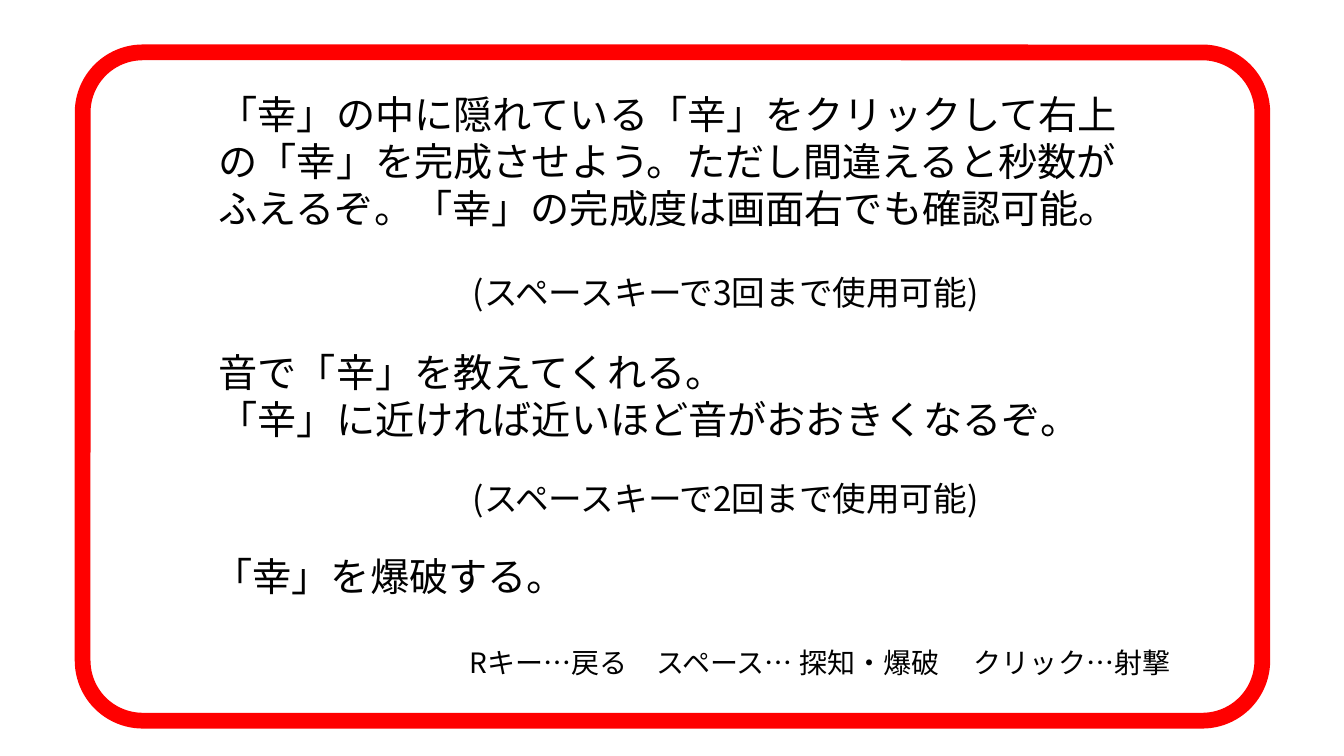
from lxml.etree import SubElement
from pptx import Presentation
from pptx.dml.color import RGBColor
from pptx.enum.shapes import MSO_SHAPE
from pptx.enum.text import MSO_AUTO_SIZE, PP_ALIGN
from pptx.oxml.ns import qn
from pptx.util import Inches, Pt

COLORS = {"frame": "FF0000", "panel": "FFFFFF", "text": "000000"}
FONT = "Noto Sans CJK JP"


def add_frame(slide, left, top, width, height):
    frame = slide.shapes.add_shape(
        MSO_SHAPE.ROUNDED_RECTANGLE,
        Inches(left), Inches(top), Inches(width), Inches(height))
    frame.adjustments[0] = 0.09
    frame.shadow.inherit = False
    frame.fill.solid()
    frame.fill.fore_color.rgb = RGBColor.from_string(COLORS["panel"])
    frame.line.color.rgb = RGBColor.from_string(COLORS["frame"])
    frame.line.width = Pt(11.25)


def add_text(slide, box, text, size, alignment=PP_ALIGN.LEFT):
    left, top, width, height = box
    text_box = slide.shapes.add_textbox(
        Inches(left), Inches(top), Inches(width), Inches(height))
    text_frame = text_box.text_frame
    text_frame.word_wrap = True
    text_frame.auto_size = MSO_AUTO_SIZE.SHAPE_TO_FIT_TEXT
    text_frame.text = text
    for paragraph in text_frame.paragraphs:
        paragraph.alignment = alignment
        for run in paragraph.runs:
            run.font.size = Pt(size)
            run.font.name = FONT
            run.font.color.rgb = RGBColor.from_string(COLORS["text"])
            properties = run.font._element
            properties.set("lang", "ja-JP")
            SubElement(properties, qn("a:ea")).set("typeface", FONT)


def add_instructions(slide, left, top):
    add_text(slide, (left, top, 9.19, 1.51),
             "「幸」の中に隠れている「辛」をクリックして右上の「幸」を完成させよう。"
             "ただし間違えると秒数がふえるぞ。「幸」の完成度は画面右でも確認可能。", 28)
    add_text(slide, (left, top + 2.56, 8.59, 1.04),
             "音で「辛」を教えてくれる。\n"
             "「辛」に近ければ近いほど音がおおきくなるぞ。", 28)
    add_text(slide, (left - 0.64, top + 4.58, 4.87, 0.57),
             "「幸」を爆破する。", 28, PP_ALIGN.CENTER)


def add_usage_limits(slide, left, top):
    for index, count in enumerate((3, 2)):
        add_text(slide, (left, top + index * 2.04, 5.74, 0.5),
                 f"(スペースキーで{count}回まで使用可能)", 24)


def add_key_guide(slide, left, top):
    add_text(slide, (left, top, 7.45, 0.5),
             "Rキー…戻る　スペース… 探知・爆破　 クリック…射撃",
             20, PP_ALIGN.CENTER)


def main():
    presentation = Presentation()
    presentation.slide_width = Inches(13.33)
    presentation.slide_height = Inches(7.5)
    slide = presentation.slides.add_slide(presentation.slide_layouts[6])
    add_frame(slide, 0.82, 0.52, 11.7, 6.63)
    add_instructions(slide, 2.07, 0.85)
    add_usage_limits(slide, 4.59, 2.65)
    add_key_guide(slide, 4.41, 6.35)
    presentation.save("out.pptx")


if __name__ == "__main__":
    main()
